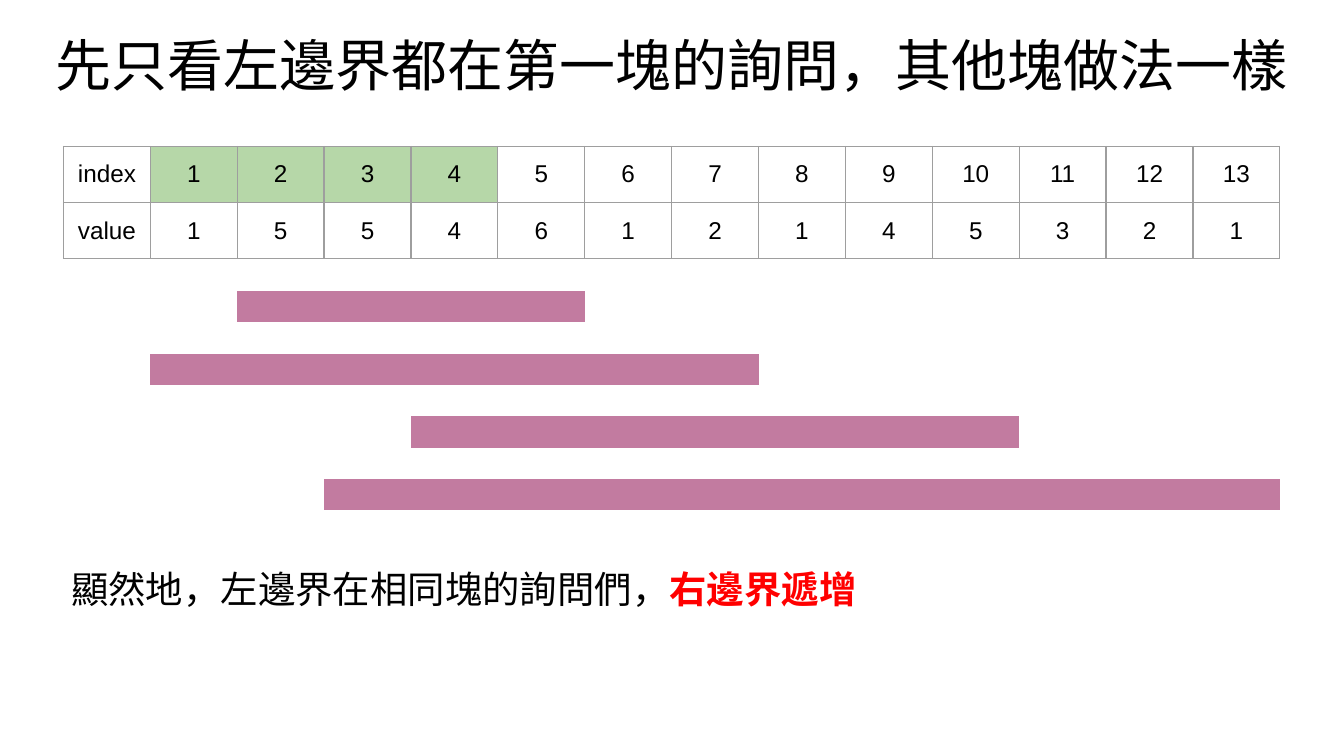
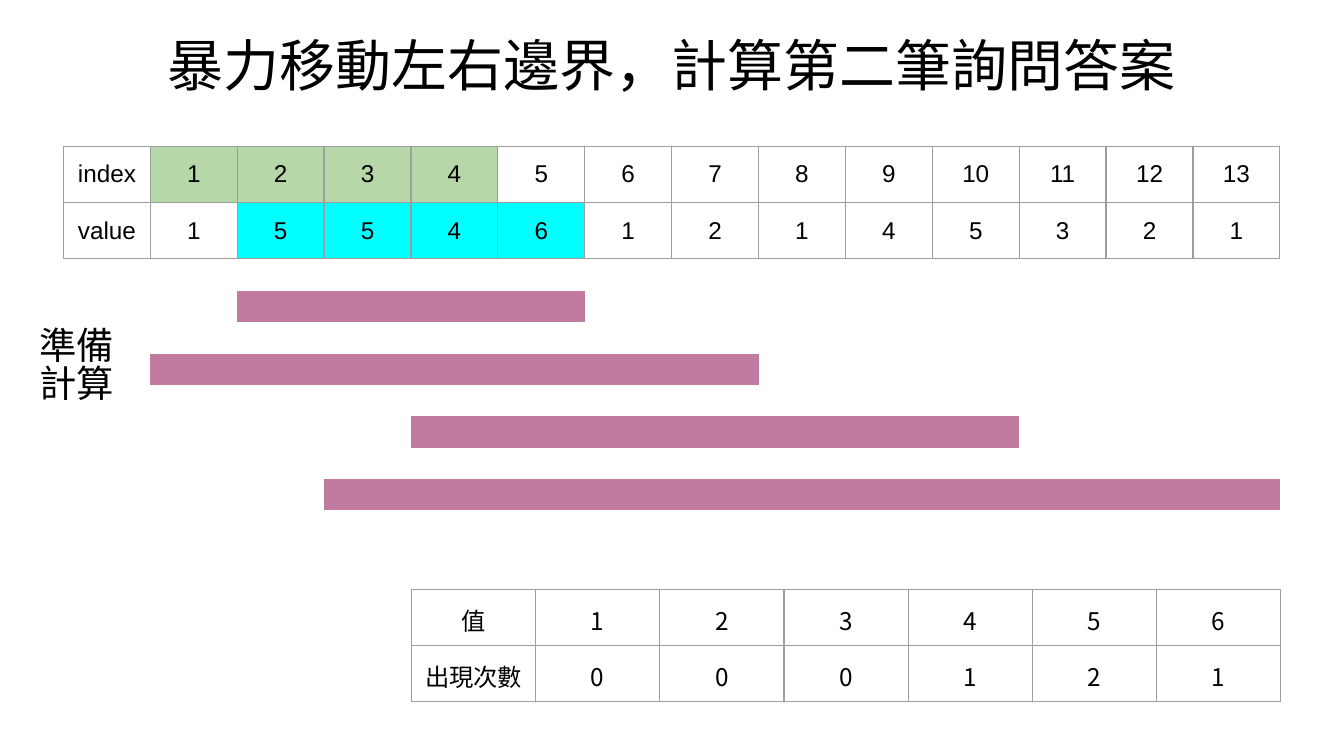
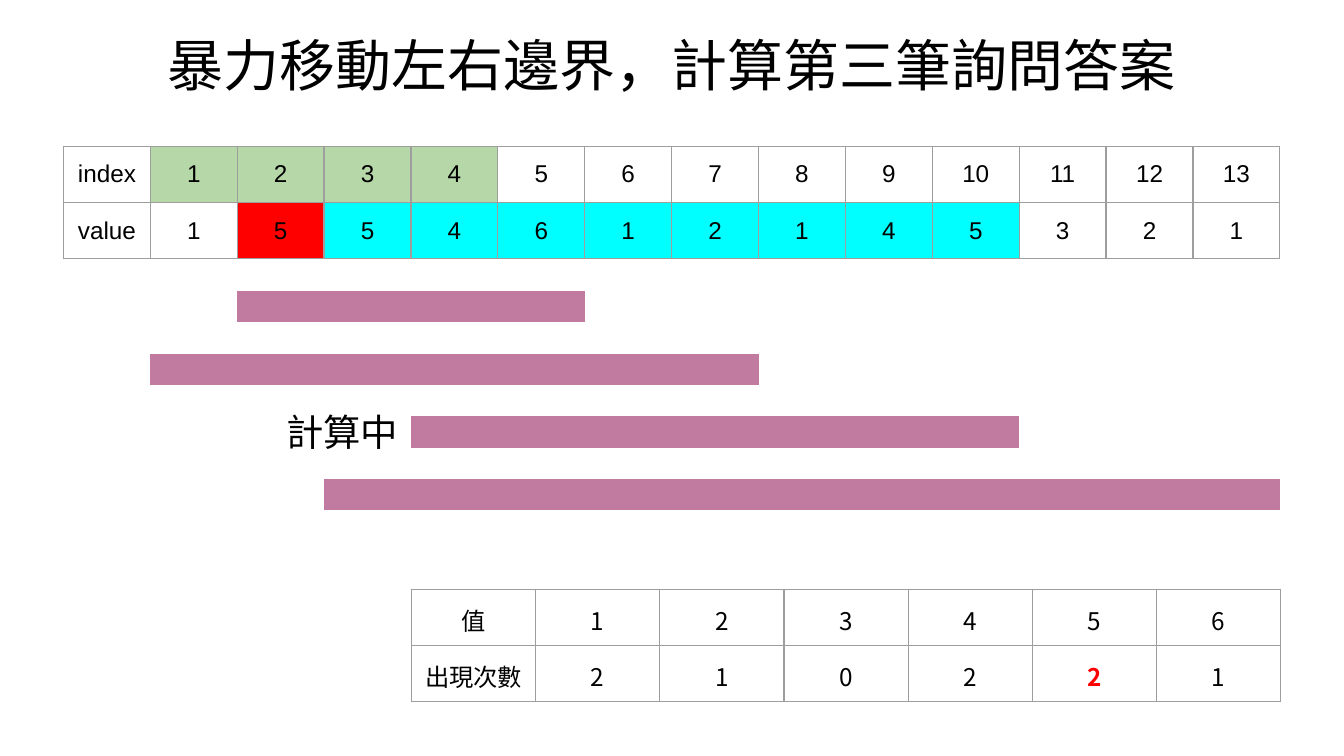
from lxml import etree
from pptx import Presentation
from pptx.dml.color import RGBColor
from pptx.enum.text import MSO_ANCHOR, PP_ALIGN
from pptx.oxml.ns import qn
from pptx.util import Pt

COLORS = {
    "text": "000000",
    "accent": "FF0000",
    "grid": "9E9E9E",
    "block": "B6D7A8",
    "window": "00FFFF",
    "removed": "FF0000",
    "query": "C27BA0",
}
CJK = "Noto Sans CJK TC"
LATIN = "Arial"
INSET = 7.2

# Array and queries share one column grid
ARRAY_LEFT, ARRAY_TOP = 34, 78.5
ARRAY_COLUMN, ARRAY_ROW = 46.55, 30
VALUES = [1, 5, 5, 4, 6, 1, 2, 1, 4, 5, 3, 2, 1]
BLOCK = range(1, 5)
QUERIES = [(2, 5), (1, 7), (4, 10), (3, 13)]
QUERY_TOP, QUERY_ROW = 156, 16.77

COUNT_LEFT, COUNT_TOP = 220.4, 315.6
COUNT_COLUMN, COUNT_ROW = 66.55, 30


def rgb(name):
    return RGBColor.from_string(COLORS[name])


def add_run(paragraph, words, size, font=CJK, color="text", bold=False):
    run = paragraph.add_run()
    run.text = words
    run.font.size = Pt(size)
    run.font.bold = bold
    run.font.color.rgb = rgb(color)
    run.font.name = font
    etree.SubElement(run.font._element, qn("a:ea"), typeface=font)


def add_text(slide, left, top, width, height, lines, size=20,
             align=PP_ALIGN.LEFT, spacing=0.9):
    """Each line is a list of (words, color, bold) runs."""
    frame = slide.shapes.add_textbox(Pt(left), Pt(top), Pt(width), Pt(height)).text_frame
    frame.word_wrap = True
    frame.vertical_anchor = MSO_ANCHOR.TOP
    frame.margin_left = frame.margin_right = Pt(INSET)
    frame.margin_top = frame.margin_bottom = Pt(INSET)
    for number, line in enumerate(lines):
        paragraph = frame.add_paragraph() if number else frame.paragraphs[0]
        paragraph.alignment = align
        paragraph.line_spacing = spacing
        for words, color, bold in line:
            add_run(paragraph, words, size, color=color, bold=bold)


def add_title(slide, words):
    add_text(slide, 0, 13, 720, 48, [[(words, "text", False)]], 30, PP_ALIGN.CENTER)


def style_cell(cell, fill=None, border=None, inset=INSET):
    cell.margin_left = cell.margin_right = Pt(inset)
    cell.margin_top = cell.margin_bottom = Pt(inset)
    cell.vertical_anchor = MSO_ANCHOR.MIDDLE
    properties = cell._tc.get_or_add_tcPr()
    for side in ("lnL", "lnR", "lnT", "lnB"):
        line = etree.SubElement(properties, qn(f"a:{side}"), w=str(Pt(0.75)))
        if border:
            paint = etree.SubElement(line, qn("a:solidFill"))
            etree.SubElement(paint, qn("a:srgbClr"), val=COLORS[border])
        else:
            etree.SubElement(line, qn("a:noFill"))
    if fill:
        cell.fill.solid()
        cell.fill.fore_color.rgb = rgb(fill)
    else:
        cell.fill.background()


def add_grid(slide, left, top, rows, columns, row_height, column_width):
    grid = slide.shapes.add_table(rows, columns, Pt(left), Pt(top),
                                  Pt(column_width * columns), Pt(row_height * rows)).table
    grid.first_row = grid.horz_banding = False
    for row in grid.rows:
        row.height = Pt(row_height)
    for column in grid.columns:
        column.width = Pt(column_width)
    return grid


def fill_grid(grid, rows, font, fills=None, highlights=()):
    """fills maps (row, column) to a color; highlights lists emphasised cells."""
    for r, row in enumerate(rows):
        for c, entry in enumerate(row):
            cell = grid.cell(r, c)
            style_cell(cell, (fills or {}).get((r, c)), "grid")
            paragraph = cell.text_frame.paragraphs[0]
            paragraph.alignment = PP_ALIGN.CENTER
            marked = (r, c) in highlights
            add_run(paragraph, str(entry), 13, font, "accent" if marked else "text", marked)


def add_array(slide, window=(), removed=()):
    fills = {(0, index): "block" for index in BLOCK}
    fills.update({(1, index): "window" for index in window})
    fills.update({(1, index): "removed" for index in removed})
    rows = [["index", *range(1, len(VALUES) + 1)], ["value", *VALUES]]
    grid = add_grid(slide, ARRAY_LEFT, ARRAY_TOP, 2, len(rows[0]), ARRAY_ROW, ARRAY_COLUMN)
    fill_grid(grid, rows, LATIN, fills)


def add_queries(slide):
    row_count = 2 * len(QUERIES) - 1
    grid = add_grid(slide, ARRAY_LEFT + ARRAY_COLUMN, QUERY_TOP, row_count, len(VALUES),
                    QUERY_ROW, ARRAY_COLUMN)
    for r in range(row_count):
        first, last = QUERIES[r // 2]
        for c in range(len(VALUES)):
            covered = r % 2 == 0 and first <= c + 1 <= last
            cell = grid.cell(r, c)
            style_cell(cell, "query" if covered else None, inset=0)
            # Small empty text keeps the rows thin
            etree.SubElement(cell.text_frame.paragraphs[0]._p, qn("a:endParaRPr"), sz="600")


def add_counts(slide, counts, highlights=()):
    rows = [["值", *range(1, len(counts) + 1)], ["出現次數", *counts]]
    grid = add_grid(slide, COUNT_LEFT, COUNT_TOP, 2, len(rows[0]), COUNT_ROW, COUNT_COLUMN)
    fill_grid(grid, rows, CJK, highlights=[(1, value) for value in highlights])


def add_step(deck, title, window=(), removed=()):
    slide = deck.slides.add_slide(deck.slide_layouts[6])
    add_title(slide, title)
    add_array(slide, window, removed)
    add_queries(slide)
    return slide


def main():
    deck = Presentation()
    deck.slide_width, deck.slide_height = Pt(720), Pt(405)

    # Queries starting in the first block
    overview = add_step(deck, "先只看左邊界都在第一塊的詢問，其他塊做法一樣")
    add_text(overview, 31, 299, 528, 52.5, [[
        ("顯然地，左邊界在相同塊的詢問們，", "text", False),
        ("右邊界遞增", "accent", True),
    ]])

    # Second query, before moving
    second = add_step(deck, "暴力移動左右邊界，計算第二筆詢問答案", window=range(2, 6))
    add_text(second, 2, 169.2, 78.5, 36.7,
             [[("準備", "text", False)], [("計算", "text", False)]],
             align=PP_ALIGN.CENTER, spacing=0.85)
    add_counts(second, [0, 0, 0, 1, 2, 1])

    # Third query, in progress
    third = add_step(deck, "暴力移動左右邊界，計算第三筆詢問答案",
                     window=range(3, 11), removed=[2])
    add_text(third, 146.2, 214.6, 78.5, 36.7, [[("計算中", "text", False)]])
    add_counts(third, [2, 1, 0, 2, 2, 1], highlights=[5])

    deck.save("out.pptx")


if __name__ == "__main__":
    main()
